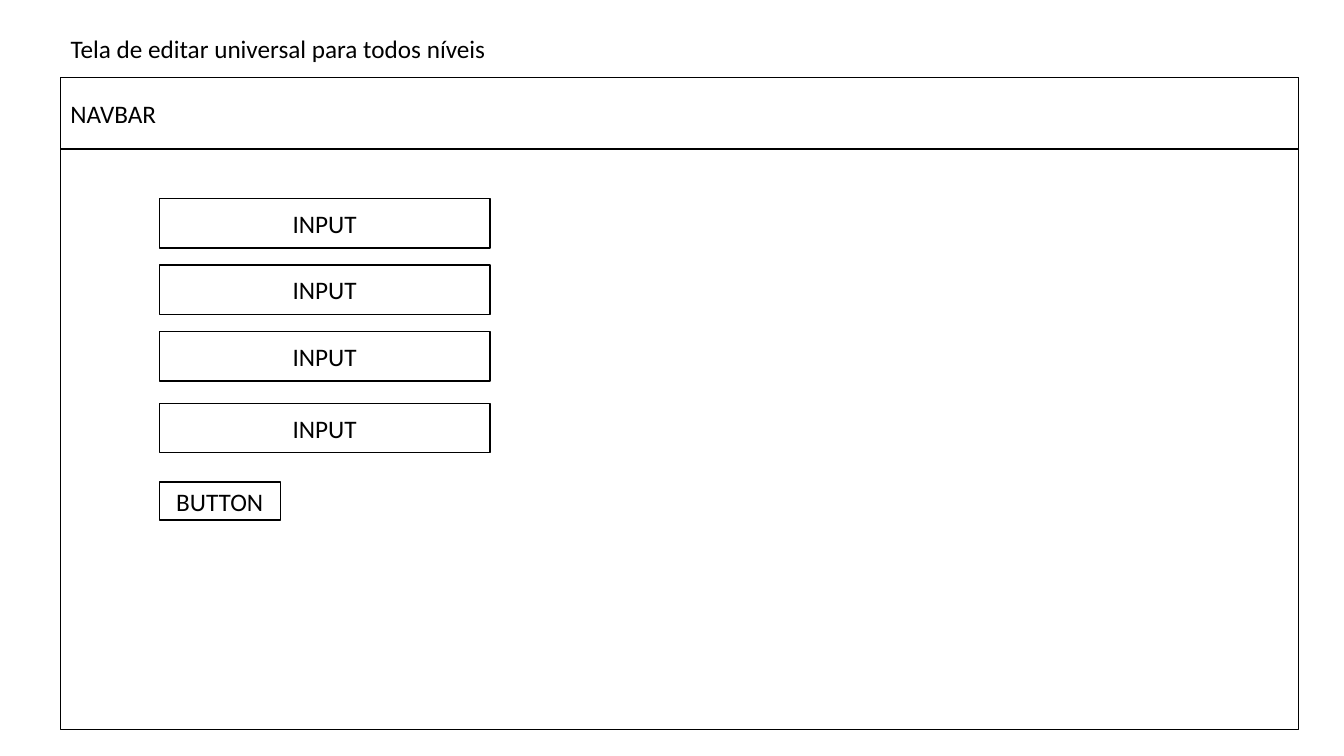
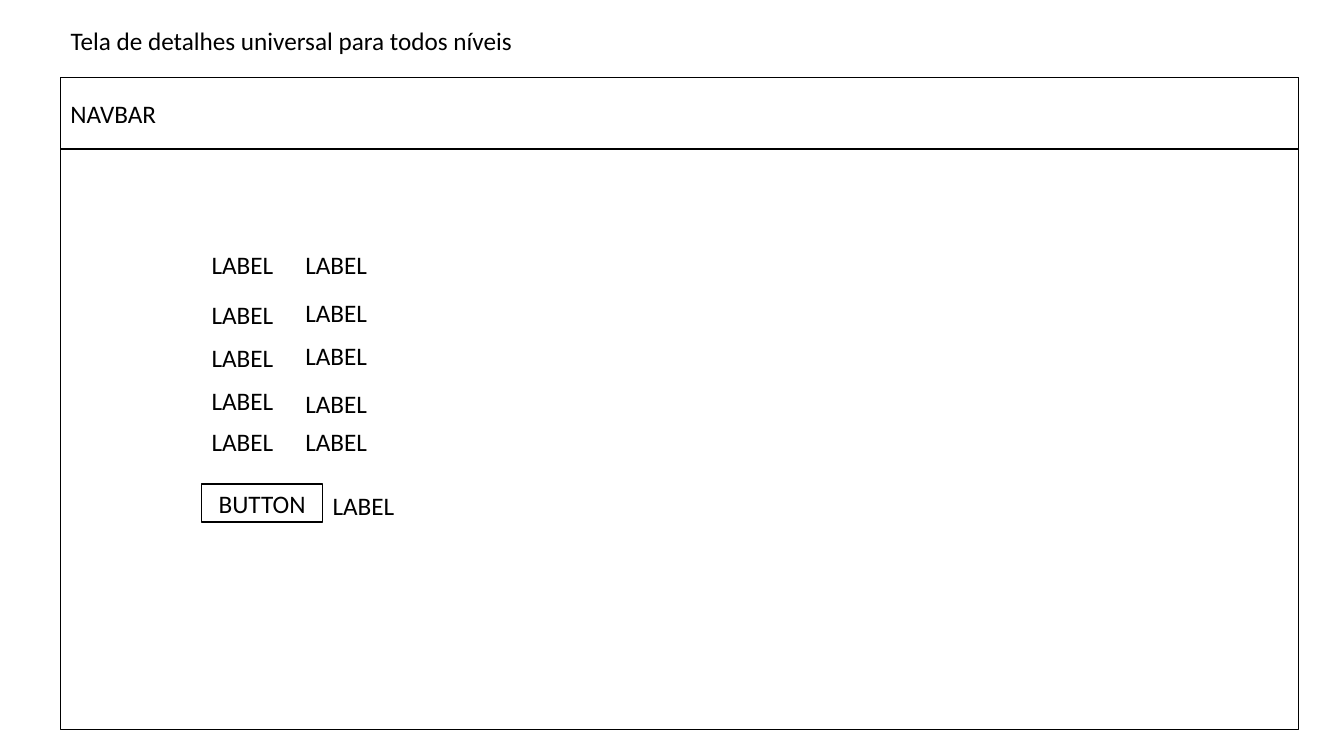
"""Builds two wireframe slides: the edit screen and the details screen."""
from dataclasses import dataclass

from pptx import Presentation, presentation, slide, util as u
from pptx.dml import color
from pptx.enum import text
from pptx.enum.shapes import MSO_SHAPE
from pptx.text import text as txt

EMU_PER_PX = 9144


@dataclass(frozen=True)
class Theme:
    """Colours, font and sizes shared by every slide."""
    ink: color.RGBColor = color.RGBColor(0, 0, 0)
    paper: color.RGBColor = color.RGBColor(255, 255, 255)
    font: str = "Calibri"
    size: u.Pt = u.Pt(18)
    line: u.Pt = u.Pt(1)


@dataclass(frozen=True)
class Box:
    """A rectangle on the slide in px, 100 to the inch."""
    x: int
    y: int
    w: int
    h: int

    def emu(self) -> tuple[u.Emu, ...]:
        """Return left, top, width and height in EMU."""
        return tuple(px(n) for n in (self.x, self.y, self.w, self.h))


THEME = Theme()
FRAME = Box(60, 77, 1228, 647)
NAVBAR = Box(60, 77, 1228, 71)
TEXT_H = 40
INPUT_TOPS = (197, 263, 329, 400)
LABEL_COLUMNS = {200: (242, 292, 335, 377, 418), 293: (242, 290, 333, 380, 418)}


def px(n: int) -> u.Emu:
    """Turn px into EMU."""
    return u.Emu(n * EMU_PER_PX)


def write(tf: txt.TextFrame, content: str, *, align: text.PP_ALIGN = text.PP_ALIGN.LEFT,
          anchor: text.MSO_ANCHOR = text.MSO_ANCHOR.TOP, wrap: bool = True,
          grow: bool = False) -> None:
    """Put one formatted line of text into a frame."""
    tf.word_wrap = wrap
    tf.vertical_anchor = anchor
    tf.auto_size = text.MSO_AUTO_SIZE.SHAPE_TO_FIT_TEXT if grow else text.MSO_AUTO_SIZE.NONE
    p = tf.paragraphs[0]
    p.alignment = align
    r = p.add_run()
    r.text = content
    r.font.name, r.font.size = THEME.font, THEME.size
    r.font.color.rgb = THEME.ink


def add_box(s: slide.Slide, box: Box, content: str = "",
            align: text.PP_ALIGN = text.PP_ALIGN.CENTER) -> None:
    """Draw an outlined rectangle, with text if given."""
    sp = s.shapes.add_shape(MSO_SHAPE.RECTANGLE, *box.emu())
    sp.shadow.inherit = False
    sp.fill.solid()
    sp.fill.fore_color.rgb = THEME.paper
    sp.line.color.rgb = THEME.ink
    sp.line.width = THEME.line
    if content:
        write(sp.text_frame, content, align=align, anchor=text.MSO_ANCHOR.MIDDLE)


def add_label(s: slide.Slide, x: int, y: int, w: int = 116) -> None:
    """Add a plain label."""
    sp = s.shapes.add_textbox(*Box(x, y, w, TEXT_H).emu())
    write(sp.text_frame, "LABEL", grow=True)


def add_button(s: slide.Slide, x: int, y: int) -> None:
    """Add a button."""
    add_box(s, Box(x, y, 120, 38), "BUTTON")


def add_screen(prs: presentation.Presentation, title: str, box: Box) -> slide.Slide:
    """Add a slide with its title, window frame and navbar."""
    s = prs.slides.add_slide(prs.slide_layouts[5])
    sp = s.shapes.title
    sp.left, sp.top, sp.width, sp.height = box.emu()
    write(sp.text_frame, title, wrap=False, grow=True)
    add_box(s, FRAME)
    add_box(s, NAVBAR, "NAVBAR", text.PP_ALIGN.LEFT)
    return s


def edit_screen(prs: presentation.Presentation) -> None:
    """Build the edit screen."""
    s = add_screen(prs, "Tela de editar universal para todos níveis", Box(60, 28, 437, TEXT_H))
    for y in INPUT_TOPS:
        add_box(s, Box(158, y, 328, 49), "INPUT")
    add_button(s, 158, 478)


def details_screen(prs: presentation.Presentation) -> None:
    """Build the details screen."""
    s = add_screen(prs, "Tela de detalhes universal para todos níveis", Box(60, 20, 463, TEXT_H))
    for x, tops in LABEL_COLUMNS.items():
        for y in tops:
            add_label(s, x, y)
    add_button(s, 200, 480)
    add_label(s, 320, 482, 93)


def main() -> None:
    """Build and save the presentation."""
    prs = Presentation()
    prs.slide_width, prs.slide_height = px(1333), px(750)
    edit_screen(prs)
    details_screen(prs)
    prs.save("out.pptx")


if __name__ == "__main__":
    main()
